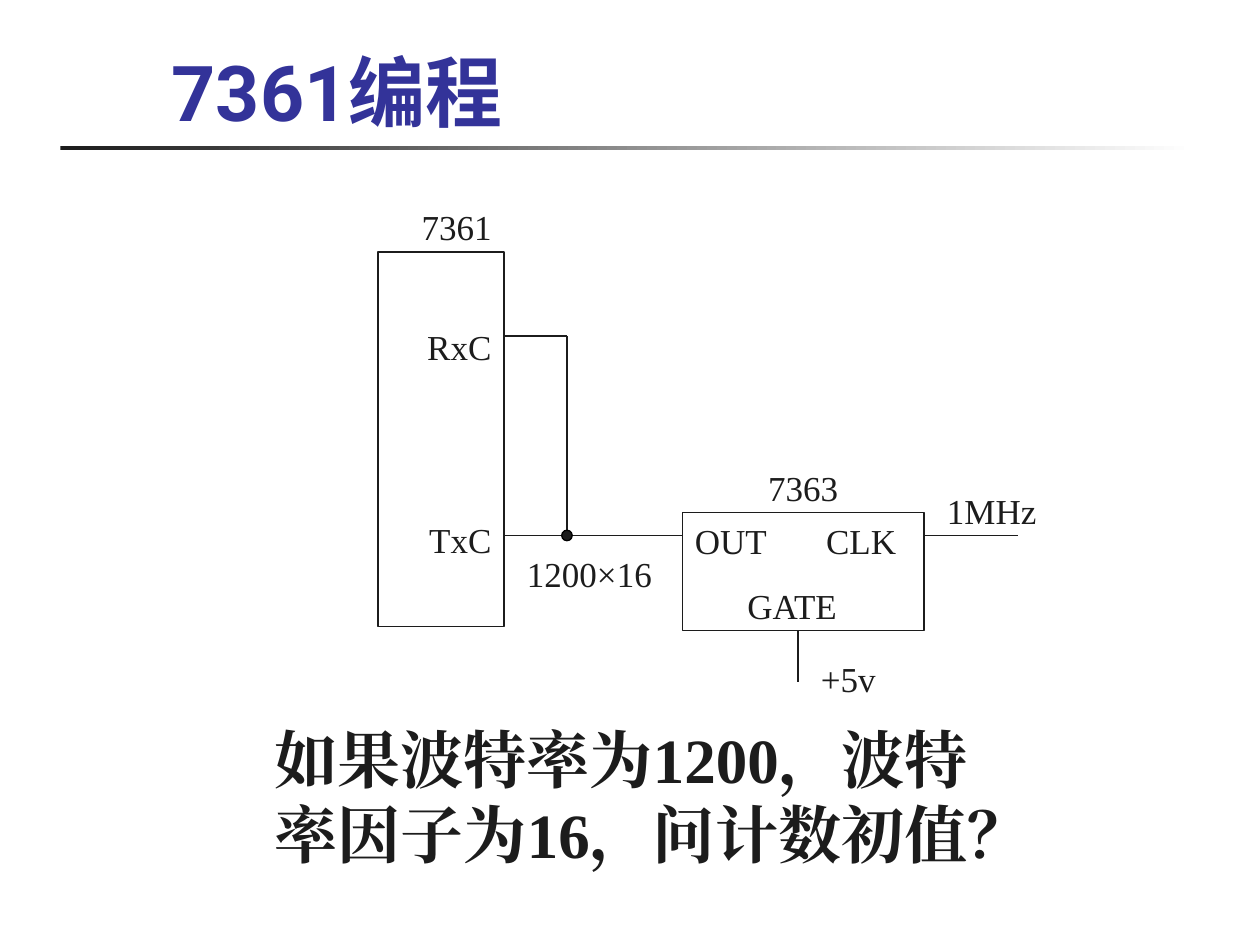
"""Build the 7361 programming slide with its clock wiring diagram."""
from dataclasses import dataclass

from lxml.etree import SubElement
from pptx import Presentation
from pptx.dml.color import RGBColor
from pptx.enum.shapes import MSO_CONNECTOR, MSO_SHAPE
from pptx.enum.text import MSO_ANCHOR, MSO_AUTO_SIZE, PP_ALIGN
from pptx.oxml.ns import qn
from pptx.util import Pt


@dataclass(frozen=True)
class Theme:
    ink: RGBColor = RGBColor(0x1C, 0x1C, 0x1C)
    title: RGBColor = RGBColor(0x33, 0x33, 0x99)
    paper: RGBColor = RGBColor(0xFF, 0xFF, 0xFF)
    outline: RGBColor = RGBColor(0, 0, 0)
    serif: str = "Times New Roman"
    sans: str = "Roboto"
    chinese: str = "Noto Sans CJK SC"
    title_size: float = 44
    question_size: float = 36
    label_size: float = 20
    line_width: float = 0.75


THEME = Theme()
LEFT, CENTER, RIGHT = PP_ALIGN.LEFT, PP_ALIGN.CENTER, PP_ALIGN.RIGHT

TITLE = ("7361编程", (91, 16, 613, 72))
QUESTION = ("如果波特率为1200，波特率因子为16，问计数初值？", (150, 408, 425.5, 132))
TITLE_RULE = (34.5, 83.5, 648, 2.2)

SERIAL_CHIP = (216, 144, 72, 214)
TIMER_CHIP = (390, 293, 138, 67.5)
JUNCTION = (324, 306)
JUNCTION_SIZE = 6
RECEIVE_Y = 192
SERIAL_RIGHT = SERIAL_CHIP[0] + SERIAL_CHIP[2]
TIMER_RIGHT = TIMER_CHIP[0] + TIMER_CHIP[2]
CORNER = (JUNCTION[0], RECEIVE_Y)

WIRES = [
    ((SERIAL_RIGHT, RECEIVE_Y), CORNER),
    (CORNER, JUNCTION),
    (JUNCTION, (SERIAL_RIGHT, JUNCTION[1])),
    (JUNCTION, (TIMER_CHIP[0], JUNCTION[1])),
    ((456, 360), (456, 390)),
    ((TIMER_RIGHT, JUNCTION[1]), (582, JUNCTION[1])),
]

LABEL_HEIGHT = 31.5
LABELS = [
    ("+5v", 462, 372, 54, LEFT),
    ("1MHz", 534, 276, 72, LEFT),
    ("7361", 204, 114, 114, CENTER),
    ("7363", 402, 263, 114, CENTER),
    ("1200×16", 294, 312, 96, LEFT),
]


def points(values):
    return [Pt(value) for value in values]


def format_paragraph(paragraph, size, color, latin, east_asian, bold=False, align=LEFT):
    paragraph.alignment = align
    font = paragraph.font
    font.size, font.bold, font.name = Pt(size), bold, latin
    font.color.rgb = color
    SubElement(font._element, qn("a:ea"), typeface=east_asian)


def format_label(paragraph, align=LEFT):
    format_paragraph(paragraph, THEME.label_size, THEME.ink, THEME.serif, THEME.serif, align=align)


def add_text(slide, text, box):
    frame = slide.shapes.add_textbox(*points(box)).text_frame
    frame.word_wrap = True
    frame.text = text
    return frame.paragraphs[0]


def add_plain_shape(slide, kind, box):
    shape = slide.shapes.add_shape(kind, *points(box))
    shape.shadow.inherit = False
    return shape


def add_chip(slide, box, lines, top_inset, gap, align):
    chip = add_plain_shape(slide, MSO_SHAPE.RECTANGLE, box)
    chip.fill.background()
    chip.line.color.rgb = THEME.ink
    chip.line.width = Pt(THEME.line_width)
    frame = chip.text_frame
    frame.word_wrap = True
    frame.vertical_anchor = MSO_ANCHOR.TOP
    frame.margin_top = Pt(top_inset)
    frame.text = "\n".join(lines)
    first, second = frame.paragraphs
    second.space_before = Pt(gap)
    return first, second


def add_wire(slide, start, end):
    wire = slide.shapes.add_connector(MSO_CONNECTOR.STRAIGHT, *points(start + end))
    wire.line.color.rgb = THEME.ink
    wire.line.width = Pt(THEME.line_width)
    SubElement(wire._element.spPr, qn("a:effectLst"))


def add_title(slide):
    text, box = TITLE
    title = slide.shapes.title
    title.left, title.top, title.width, title.height = points(box)
    frame = title.text_frame
    frame.text = text
    frame.auto_size = MSO_AUTO_SIZE.NONE
    frame.vertical_anchor = MSO_ANCHOR.MIDDLE
    format_paragraph(frame.paragraphs[0], THEME.title_size, THEME.title,
                     THEME.sans, THEME.chinese, bold=True)

    rule = add_plain_shape(slide, MSO_SHAPE.RECTANGLE, TITLE_RULE)
    rule.line.fill.background()
    rule.fill.gradient()
    rule.fill.gradient_angle = 0
    for stop, color in zip(rule.fill.gradient_stops, (THEME.ink, THEME.paper)):
        stop.color.rgb = color


def add_diagram(slide):
    for pin in add_chip(slide, SERIAL_CHIP, ["RxC", "TxC"], 42, 86, RIGHT):
        format_label(pin, RIGHT)

    top_pins, gate = add_chip(slide, TIMER_CHIP, ["OUT\tCLK", "GATE"], 4, 13, LEFT)
    tabs = SubElement(top_pins._p.get_or_add_pPr(), qn("a:tabLst"))
    SubElement(tabs, qn("a:tab"), pos=str(Pt(75)), algn="l")
    gate._p.get_or_add_pPr().set("marL", str(Pt(30)))
    for pin in (top_pins, gate):
        format_label(pin)

    for start, end in WIRES:
        add_wire(slide, start, end)
    for text, left, top, width, align in LABELS:
        format_label(add_text(slide, text, (left, top, width, LABEL_HEIGHT)), align)

    corner = [center - JUNCTION_SIZE / 2 for center in JUNCTION]
    dot = add_plain_shape(slide, MSO_SHAPE.OVAL, (*corner, JUNCTION_SIZE, JUNCTION_SIZE))
    dot.fill.solid()
    dot.fill.fore_color.rgb = THEME.ink
    dot.line.color.rgb = THEME.outline
    dot.line.width = Pt(THEME.line_width)


def main():
    presentation = Presentation()
    presentation.slide_width, presentation.slide_height = Pt(720), Pt(540)
    slide = presentation.slides.add_slide(presentation.slide_layouts[5])
    add_title(slide)
    add_diagram(slide)
    format_paragraph(add_text(slide, *QUESTION), THEME.question_size, THEME.ink,
                     THEME.serif, THEME.serif, bold=True)
    presentation.save("out.pptx")


if __name__ == "__main__":
    main()
